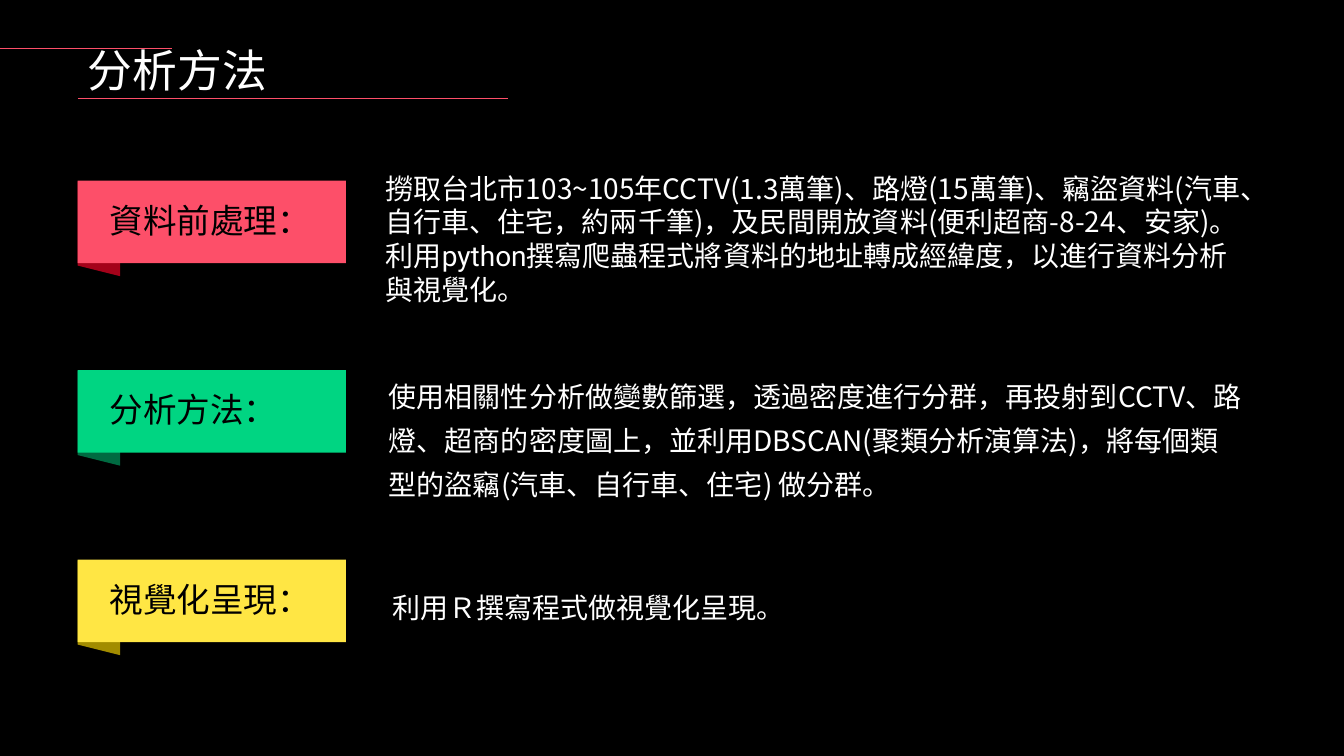
from pptx import Presentation
from pptx.dml.color import RGBColor
from pptx.enum import shapes, text
from pptx.oxml import ns, xmlchemy
from pptx.util import Cm, Pt

LEFT = 1.96
RED = "FD4F69"
WHITE = "FFFFFF"
BANNERS = [
    ("資料前處理：", RED, "A4021A"),
    ("分析方法：", "00D582", "006A41"),
    ("視覺化呈現：", "FFE644", "A28C00"),
]
PREPARATION = [
    ("撈取台北市103~105年CCTV(1.3萬筆)、路燈(15萬筆)、竊盜資料(汽車、自行車、住宅，約兩千筆)，"
     "及民間開放資料(便利超商-8-24、安家)。", "Noto Sans CJK SC"),
    ("利用python撰寫爬蟲程式將資料的地址轉成經緯度，以進行資料分析與視覺化。", "Roboto"),
]
ANALYSIS = [
    ("使用相關性分析做變數篩選，透過密度進行分群，再投射到CCTV、路燈、超商的密度圖上，"
     "並利用DBSCAN(聚類分析演算法)，將每個類型的盜竊(汽車、自行車、住宅) 做分群。", "Noto Sans CJK SC"),
]
DISPLAY = [("利用Ｒ撰寫程式做視覺化呈現。", "Noto Sans CJK SC")]


def rgb(value):
    return RGBColor.from_string(value)


def style(p, size, color, font="Roboto", spacing=1.0):
    p.font.size = Pt(size)
    p.font.name = font
    p.font.color.rgb = rgb(color)
    p.line_spacing = spacing


def add_rule(slide, x1, x2, y):
    line = slide.shapes.add_connector(
        shapes.MSO_CONNECTOR.STRAIGHT, Cm(x1), Cm(y), Cm(x2), Cm(y))
    line.line.color.rgb = rgb(RED)
    line.line.width = Pt(1)
    line._element.spPr.append(xmlchemy.OxmlElement("a:effectLst"))


def add_block(slide, kind, x, y, w, h, color):
    sp = slide.shapes.add_shape(kind, Cm(x), Cm(y), Cm(w), Cm(h))
    sp.shadow.inherit = False
    sp.fill.solid()
    sp.fill.fore_color.rgb = rgb(color)
    sp.line.fill.background()
    return sp


def add_text(slide, x, y, w, h, paragraphs, size, color, spacing=1.0):
    """Add a wrapping text box; paragraphs are (wording, font) pairs."""
    tf = slide.shapes.add_textbox(Cm(x), Cm(y), Cm(w), Cm(h)).text_frame
    tf.word_wrap = True
    for i, (wording, font) in enumerate(paragraphs):
        p = tf.add_paragraph() if i else tf.paragraphs[0]
        p.text = wording
        style(p, size, color, font, spacing)


def add_banner(slide, y, label, color, fold_color):
    fold = add_block(slide, shapes.MSO_SHAPE.PARALLELOGRAM,
                     1.3, y + 0.68, 2.39, 1.07, fold_color)
    fold.rotation = 270
    add_block(slide, shapes.MSO_SHAPE.RECTANGLE, LEFT, y, 6.76, 2.08, color)
    add_text(slide, 2.51, y + 0.36, 5.9, 1.27, [(label, "Roboto")], 24, "000000")


def set_title(slide, wording):
    title = slide.shapes.title
    title.left, title.top, title.width, title.height = Cm(LEFT), Cm(1.24), Cm(5.18), Cm(1.19)
    tf = title.text_frame
    tf.text = wording
    tf.vertical_anchor = text.MSO_ANCHOR.MIDDLE
    tf.auto_size = text.MSO_AUTO_SIZE.NONE
    p = tf.paragraphs[0]
    p.alignment = text.PP_ALIGN.LEFT
    style(p, 32, WHITE, spacing=0.9)


def main():
    prs = Presentation()
    prs.slide_width, prs.slide_height = Cm(33.87), Cm(19.05)
    slide = prs.slides.add_slide(prs.slide_layouts[5])
    slide.background.fill.solid()
    slide.background.fill.fore_color.rgb = rgb("000000")

    add_rule(slide, 0, 4.34, 1.22)
    add_rule(slide, LEFT, 12.8, 2.48)
    set_title(slide, "分析方法")
    for i, banner in enumerate(BANNERS):
        add_banner(slide, 4.55 + 4.775 * i, *banner)

    add_text(slide, 9.47, 4.19, 22.07, 4.52, PREPARATION, 20, WHITE)
    add_text(slide, 9.55, 9.19, 22, 3.58, ANALYSIS, 20, WHITE, 1.3)
    add_text(slide, 9.63, 14.5, 21.36, 1.37, DISPLAY, 20, WHITE, 1.3)
    prs.save("out.pptx")


if __name__ == "__main__":
    main()
